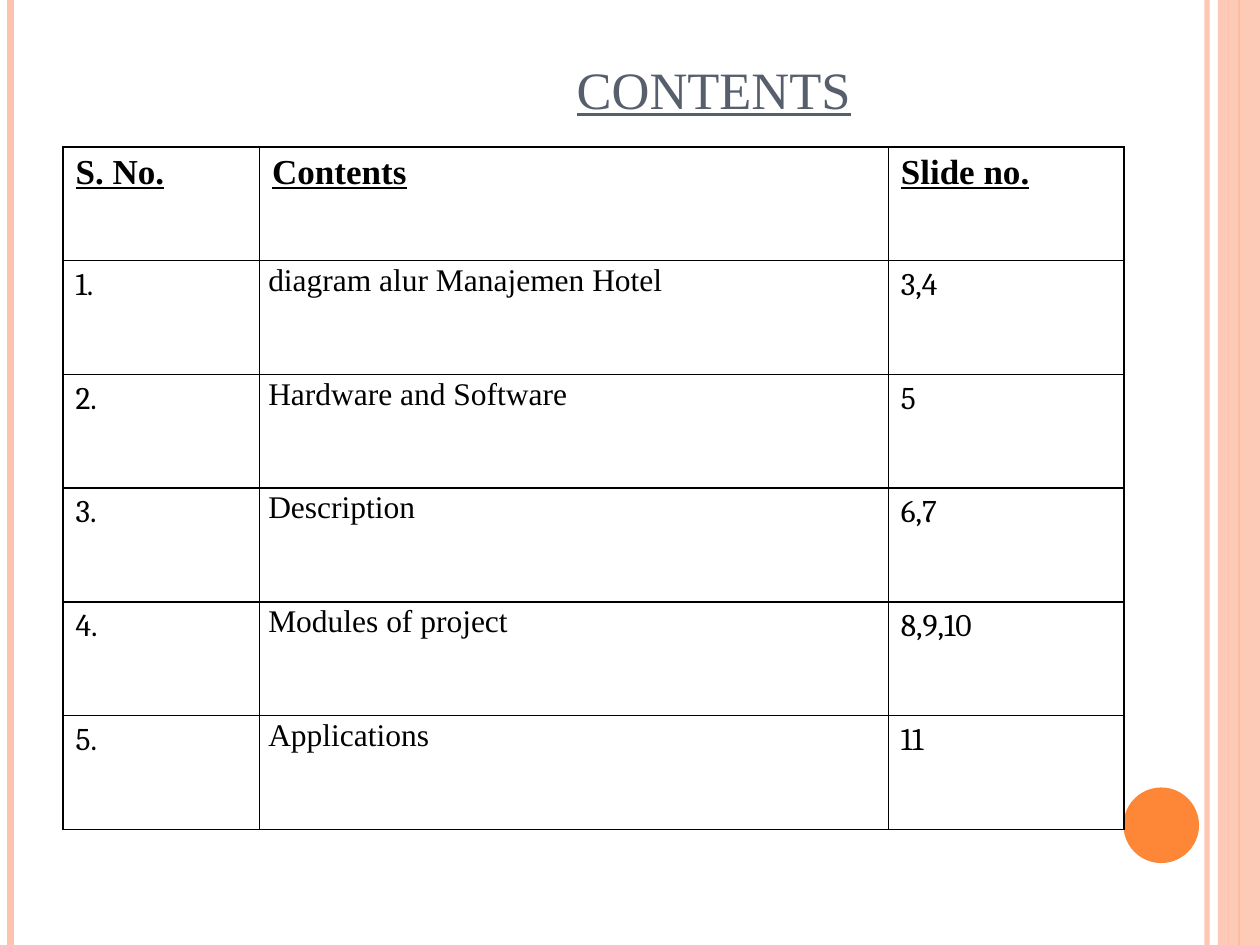
from lxml import etree
from pptx import Presentation
from pptx.dml.color import RGBColor
from pptx.enum import shapes, text
from pptx.oxml.ns import qn
from pptx.util import Pt

ORANGE = RGBColor(0xFE, 0x86, 0x37)
PEACH = RGBColor(0xFE, 0xC3, 0xAE)
SLATE = RGBColor(0x57, 0x5F, 0x6D)
BLACK = RGBColor(0, 0, 0)
SERIF, BODY = "Times New Roman", "Cambria"

WIDTH, HEIGHT = 720, 540
COLUMNS = (112.32, 359.28, 134.64)
ROWS = [
    ("S. No.", "Contents", "Slide no."),
    ("1.", "diagram alur Manajemen Hotel", "3,4"),
    ("2.", "Hardware and Software", "5"),
    ("3.", "Description", "6,7"),
    ("4.", "Modules of project", "8,9,10"),
    ("5.", "Applications", "11"),
]


def set_alpha(sp, percent):
    color = next(sp._element.spPr.iter(qn("a:srgbClr")))
    etree.SubElement(color, qn("a:alpha"), val=str(percent * 1000))


def add_rule(s, x, top, height, color, weight):
    line = s.shapes.add_connector(
        shapes.MSO_CONNECTOR.STRAIGHT, Pt(x), Pt(top), Pt(x), Pt(top + height))
    line.line.color.rgb = color
    line.line.width = Pt(weight)
    etree.SubElement(line._element.spPr, qn("a:effectLst"))
    return line


def add_solid(s, kind, left, top, width, height, color):
    sp = s.shapes.add_shape(kind, Pt(left), Pt(top), Pt(width), Pt(height))
    sp.shadow.inherit = False
    sp.fill.solid()
    sp.fill.fore_color.rgb = color
    sp.line.fill.background()
    return sp


def add_frame(s, left, top, width, height):
    """Side stripes and the corner disc."""
    right = left + width
    set_alpha(add_rule(s, right - 30.24, top, height, PEACH, 3), 93)
    add_rule(s, left + 6, top, height, PEACH, 4.5)
    add_rule(s, right - 12, top, height, ORANGE, 1.5)
    band = add_solid(s, shapes.MSO_SHAPE.RECTANGLE,
                     right - 24, top, 24, height, PEACH)
    set_alpha(band, 87)
    add_rule(s, right - 18, top, height, PEACH, 0.75)
    add_solid(s, shapes.MSO_SHAPE.OVAL,
              right - 78, top + 450, 43.2, 43.2, ORANGE)


def add_title(s, left, top, width, height):
    title = s.shapes.title
    title.left, title.top = Pt(left), Pt(top)
    title.width, title.height = Pt(width), Pt(height)
    tf = title.text_frame
    tf.text = "CONTENTS"
    tf.vertical_anchor = text.MSO_ANCHOR.BOTTOM
    tf.margin_left = Pt(163)  # shifts the centred heading to the right
    p = tf.paragraphs[0]
    p.alignment = text.PP_ALIGN.CENTER
    p.font.size, p.font.name = Pt(30), SERIF
    p.font.color.rgb = SLATE
    p.font.underline = True


def add_borders(cell):
    tc_pr = cell._tc.get_or_add_tcPr()
    for side in ("lnL", "lnR", "lnT", "lnB"):
        ln = etree.SubElement(tc_pr, qn(f"a:{side}"), w=str(Pt(1)))
        fill = etree.SubElement(ln, qn("a:solidFill"))
        etree.SubElement(fill, qn("a:srgbClr"), val=str(BLACK))


def format_cell(cell, is_header, is_topic):
    add_borders(cell)
    cell.fill.background()
    p = cell.text_frame.paragraphs[0]
    p.font.color.rgb = BLACK
    p.font.name = SERIF if is_header or is_topic else BODY
    p.font.size = Pt(20 if is_header else 18)
    p.font.bold = p.font.underline = is_header
    if is_header and is_topic:
        p.alignment = text.PP_ALIGN.JUSTIFY
    elif is_topic:
        p.line_spacing = 1.07
        cell.margin_left = cell.margin_right = Pt(5)
        cell.margin_top = cell.margin_bottom = Pt(0)


def add_contents(s, left, top, width, height):
    table = s.shapes.add_table(len(ROWS), len(COLUMNS), Pt(left), Pt(top),
                               Pt(width), Pt(height)).table
    table.first_row = table.horz_banding = False
    for column, column_width in zip(table.columns, COLUMNS):
        column.width = Pt(column_width)
    for r, row in enumerate(ROWS):
        table.rows[r].height = Pt(height / len(ROWS))
        for c, words in enumerate(row):
            cell = table.cell(r, c)
            cell.text = words
            format_cell(cell, is_header=r == 0, is_topic=c == 1)


def main():
    prs = Presentation()
    prs.slide_width, prs.slide_height = Pt(WIDTH), Pt(HEIGHT)
    s = prs.slides.add_slide(prs.slide_layouts[5])  # Title Only
    add_frame(s, 0, 0, WIDTH, HEIGHT)
    add_title(s, 36, 12, 588, 60)
    add_contents(s, 36, 84, sum(COLUMNS), 390)
    prs.save("out.pptx")


if __name__ == "__main__":
    main()
